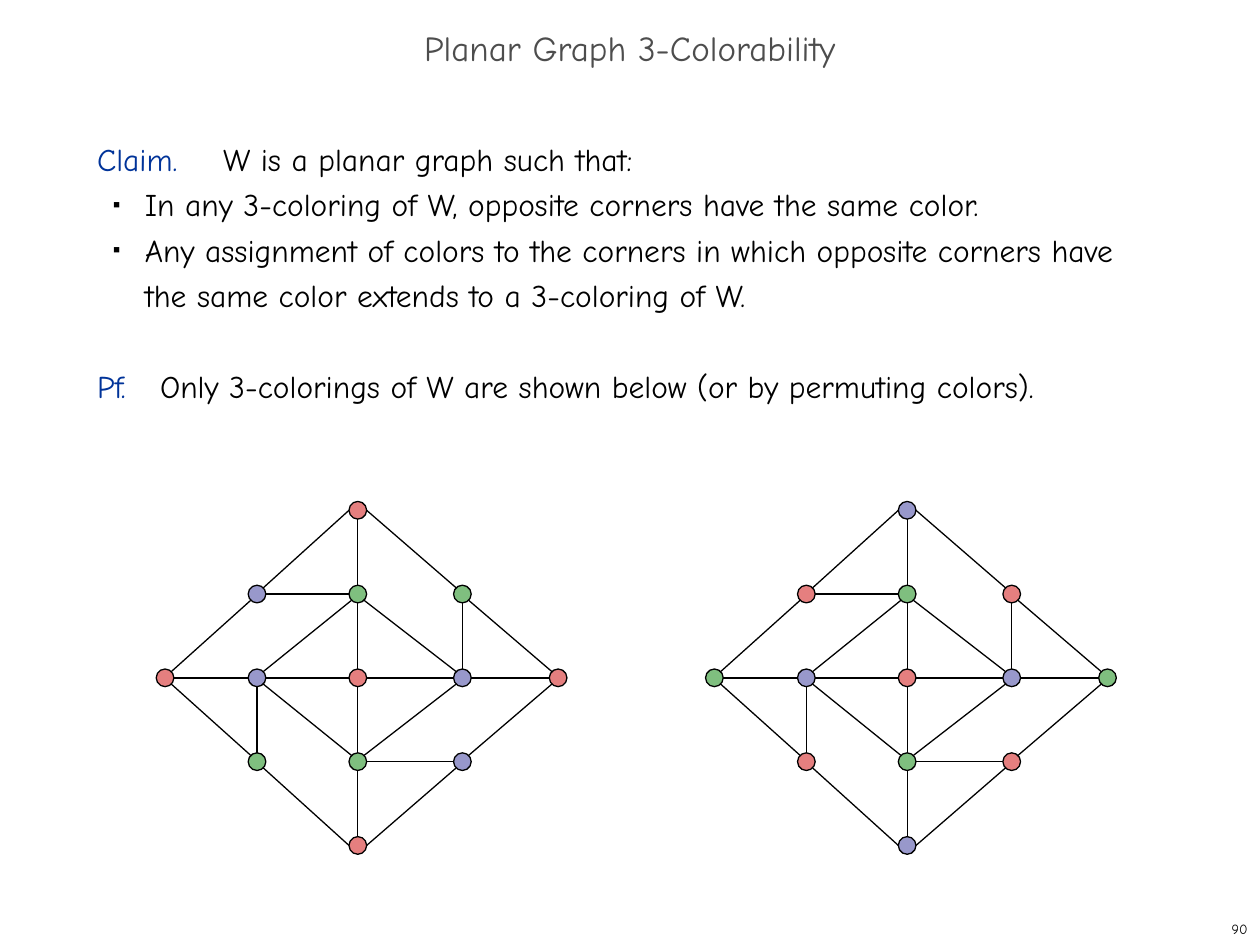
from collections.abc import Iterable
from dataclasses import dataclass
from math import sqrt

from pptx import Presentation
from pptx.dml.color import RGBColor
from pptx.enum.shapes import MSO_CONNECTOR, MSO_SHAPE
from pptx.enum.text import MSO_ANCHOR, MSO_AUTO_SIZE, PP_ALIGN
from pptx.oxml.xmlchemy import OxmlElement
from pptx.util import Inches, Pt

STRAIGHT = MSO_CONNECTOR.STRAIGHT
OVAL = MSO_SHAPE.OVAL
MIDDLE, TOP = MSO_ANCHOR.MIDDLE, MSO_ANCHOR.TOP
CENTER, LEFT, RIGHT = PP_ALIGN.CENTER, PP_ALIGN.LEFT, PP_ALIGN.RIGHT
NO_FIT = MSO_AUTO_SIZE.NONE

FONT = "Comic Neue"
COLORS = {"ink": "000000", "title": "4D4D4D", "lead": "003399",
          "R": "CC0000", "G": "008000", "B": "333399"}

# Graph W: columns and rows of its 13 nodes
COLS = (0, 0.73, 1.53, 2.36, 3.12)
CREST, HEIGHT = 4.05, 2.66
RADIUS = 0.07
NODES = {"N": (2, 0), "NW": (1, 1), "n": (2, 1), "NE": (3, 1),
         "W": (0, 2), "w": (1, 2), "c": (2, 2), "e": (3, 2), "E": (4, 2),
         "SW": (1, 3), "s": (2, 3), "SE": (3, 3), "S": (2, 4)}
PATHS = ("N NW W SW S SE E NE N", "W w c e E", "N n c s S",
         "NW n w s e n", "SW w", "NE e", "s SE")


@dataclass
class Graph:
    left: float
    hues: str  # one letter per node, in the order of NODES


@dataclass
class Line:
    text: str
    lead: str = ""
    tab: float = 0
    gap: int = 0


GRAPHS = (Graph(1.31, "RBGGRBRBRGGBR"), Graph(5.67, "BRGRGBRBGRGRB"))
LINES = (
    Line("W is a planar graph such that:", "Claim.", 0.81),
    Line("In any 3-coloring of W, opposite corners have the same color."),
    Line("Any assignment of colors to the corners in which opposite corners "
         "have the same color extends to a 3-coloring of W."),
    Line("Only 3-colorings of W are shown below (or by permuting colors).",
         "Pf.", 0.4, 26),
)


def rgb(name: str) -> RGBColor:
    return RGBColor.from_string(COLORS[name])


def child(parent, tag: str, **attrs: str):
    node = OxmlElement(tag)
    for key, value in attrs.items():
        node.set(key, value)
    parent.append(node)
    return node


def place(shape, left: float, top: float, width: float, height: float) -> None:
    shape.left, shape.top = Inches(left), Inches(top)
    shape.width, shape.height = Inches(width), Inches(height)


def style(para, size: int, color: str, align=LEFT) -> None:
    para.alignment = align
    para.font.name, para.font.size = FONT, Pt(size)
    para.font.color.rgb = rgb(color)


def spot(graph: Graph, name: str) -> tuple[float, float]:
    col, row = NODES[name]
    return graph.left + COLS[col], CREST + row * HEIGHT / 4


def rim(graph: Graph, name: str, other: str) -> tuple[float, float]:
    """Point on the rim of one node where the edge to another starts."""
    x, y = spot(graph, name)
    far_x, far_y = spot(graph, other)
    right = (far_x > x) - (far_x < x)
    down = (far_y > y) - (far_y < y)
    if right and down:
        if name in "NS":
            return x + right * RADIUS, y
        step = RADIUS / sqrt(2)
        return x + right * step, y + down * step
    return x + right * RADIUS, y + down * RADIUS


def edge(shapes, start: Iterable[float], end: Iterable[float]) -> None:
    points = [Inches(v) for v in (*start, *end)]
    line = shapes.add_connector(STRAIGHT, *points)
    line.line.color.rgb, line.line.width = rgb("ink"), Pt(0.75)
    child(line._element.spPr, "a:effectLst")


def node(shapes, x: float, y: float, hue: str) -> None:
    box = (x - RADIUS, y - RADIUS, 2 * RADIUS, 2 * RADIUS)
    dot = shapes.add_shape(OVAL, *map(Inches, box))
    dot.shadow.inherit = False
    dot.fill.solid()
    dot.fill.fore_color.rgb = rgb(hue)
    child(dot._element.spPr.find(".//{*}srgbClr"), "a:alpha", val="50000")
    dot.line.color.rgb, dot.line.width = rgb("ink"), Pt(0.75)


def draw(slide, graph: Graph) -> None:
    shapes = slide.shapes.add_group_shape().shapes
    for chain in PATHS:
        names = chain.split()
        for a, b in zip(names, names[1:]):
            edge(shapes, rim(graph, a, b), rim(graph, b, a))
    for name, hue in zip(NODES, graph.hues):
        node(shapes, *spot(graph, name), hue)


def write(para, line: Line) -> None:
    props = para._p.get_or_add_pPr()
    props.set("marL", str(0 if line.lead else Inches(0.38)))
    props.set("indent", str(0 if line.lead else Inches(-0.25)))
    if line.lead:
        child(props, "a:buNone")
        tabs = child(props, "a:tabLst")
        child(tabs, "a:tab", pos=str(Inches(line.tab)), algn="l")
        run = para.add_run()
        run.text = line.lead + "\t"
        run.font.color.rgb = rgb("lead")
    else:
        child(child(props, "a:buClr"), "a:srgbClr", val=COLORS["ink"])
        child(props, "a:buSzPct", val="35000")
        child(props, "a:buChar", char="■")
    para.add_run().text = line.text
    para.line_spacing, para.space_before = Pt(26), Pt(line.gap)
    style(para, 18, "ink")


def main() -> None:
    deck = Presentation()
    deck.slide_width, deck.slide_height = Inches(10), Inches(7.5)
    slide = deck.slides.add_slide(deck.slide_layouts[1])

    # Title
    title = slide.shapes.title
    place(title, 0, 0.17, 10, 0.5)
    frame = title.text_frame
    frame.auto_size, frame.vertical_anchor = NO_FIT, MIDDLE
    frame.text = "Planar Graph 3-Colorability"
    frame.paragraphs[0].line_spacing = 0.7
    style(frame.paragraphs[0], 20, "title", CENTER)

    # Claim and proof
    body = slide.placeholders[1]
    place(body, 0.67, 1, 8.58, 5.92)
    frame = body.text_frame
    frame.auto_size, frame.vertical_anchor = NO_FIT, TOP
    for i, line in enumerate(LINES):
        write(frame.add_paragraph() if i else frame.paragraphs[0], line)

    # The two colorings
    for graph in GRAPHS:
        draw(slide, graph)

    # Page number
    page = slide.shapes.add_textbox(*map(Inches, (7.92, 7.25, 2.08, 0.25)))
    frame = page.text_frame
    frame.word_wrap, frame.vertical_anchor = True, MIDDLE
    frame.text = "90"
    style(frame.paragraphs[0], 8, "ink", RIGHT)

    deck.save("out.pptx")


if __name__ == "__main__":
    main()
